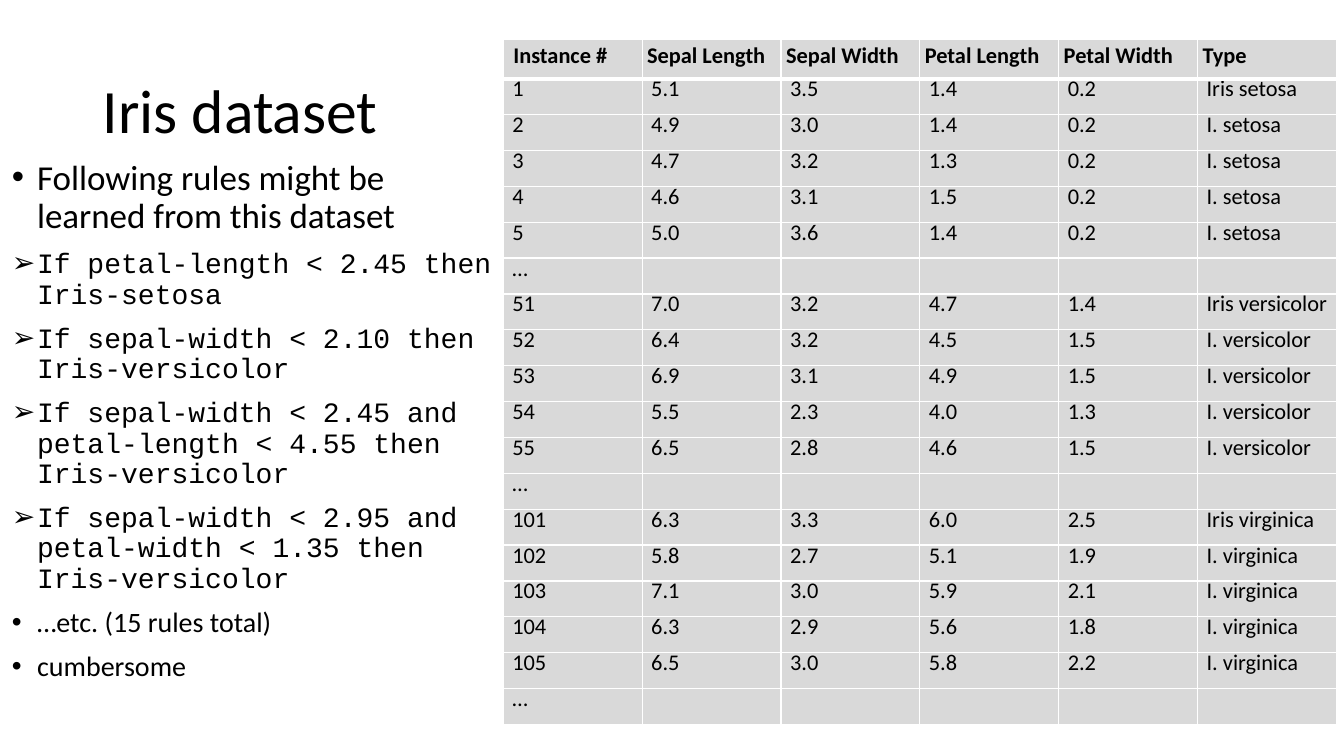
"""Build the Iris dataset slide with its rules and table."""
import dataclasses

import pptx
import pptx.dml.color
import pptx.enum.text
import pptx.oxml
import pptx.oxml.ns
import pptx.util

Pt = pptx.util.Pt


@dataclasses.dataclass
class Theme:
    ink: str = "000000"
    fill: str = "D9D9D9"
    rule: str = "FFFFFF"
    sans: str = "Calibri"
    mono: str = "Courier New"
    title: int = 44
    lead: int = 25
    body: int = 20
    cell: int = 16
    pitch: float = 15.2
    space: float = 0.9


class Deck:
    def __init__(self, theme):
        self.theme = theme
        self.file = pptx.Presentation()
        self.file.slide_width, self.file.slide_height = Pt(960), Pt(540)
        self.slide = self.file.slides.add_slide(self.file.slide_layouts[5])

    def color(self, code):
        return pptx.dml.color.RGBColor.from_string(code)

    def format(self, para, size, font, bold=False):
        for run in para.runs:
            run.font.size = Pt(size)
            run.font.name = font
            run.font.bold = bold
            run.font.color.rgb = self.color(self.theme.ink)

    def title(self, text, box):
        shape = self.slide.shapes.title
        shape.left, shape.top, shape.width, shape.height = map(Pt, box)
        frame = shape.text_frame
        frame.text = text
        frame.vertical_anchor = pptx.enum.text.MSO_ANCHOR.MIDDLE
        para = frame.paragraphs[0]
        para.alignment = pptx.enum.text.PP_ALIGN.LEFT
        para.line_spacing = self.theme.space
        self.format(para, self.theme.title, self.theme.sans)

    def bullet(self, para, mark, indent):
        props = para._p.get_or_add_pPr()
        props.set("marL", str(Pt(indent)))
        props.set("indent", str(-Pt(indent)))
        for tag, key, value in (("buFont", "typeface", "Arial"), ("buChar", "char", mark)):
            item = pptx.oxml.parse_xml(f'<a:{tag} {pptx.oxml.ns.nsdecls("a")}/>')
            item.set(key, value)
            props.append(item)

    def list(self, items, box):
        frame = self.slide.shapes.add_textbox(*map(Pt, box)).text_frame
        frame.word_wrap = True
        frame.text = "\n".join(text for text, *_ in items)
        for para, (_, mark, size, font) in zip(frame.paragraphs, items):
            para.line_spacing = self.theme.space
            para.space_before = Pt(10)
            self.bullet(para, mark, 18)
            self.format(para, size, font)

    def border(self, cell, widths):
        props = cell._tc.get_or_add_tcPr()
        for spot, (side, width) in enumerate(widths.items()):
            props.insert(spot, pptx.oxml.parse_xml(
                f'<a:{side} {pptx.oxml.ns.nsdecls("a")} w="{Pt(width)}"><a:solidFill>'
                f'<a:srgbClr val="{self.theme.rule}"/></a:solidFill></a:{side}>'))

    def cell(self, cell, text, head):
        cell.fill.solid()
        cell.fill.fore_color.rgb = self.color(self.theme.fill)
        cell.margin_left = Pt(3.6 if head else 6.5)
        cell.margin_top = Pt(1.4 if head else 2)
        cell.margin_right = cell.margin_bottom = Pt(1.4 if head else 0.7)
        anchor = pptx.enum.text.MSO_ANCHOR
        cell.vertical_anchor = anchor.MIDDLE if head else anchor.TOP
        cell.text_frame.text = text
        para = cell.text_frame.paragraphs[0]
        para.line_spacing = Pt(self.theme.pitch)
        self.format(para, self.theme.cell, self.theme.sans, head)
        self.border(cell, {"lnL": 1, "lnR": 1, "lnT": 1, "lnB": 3 if head else 1})

    def table(self, rows, left, top, width, first, step):
        count = len(rows[0])
        height = first + step * (len(rows) - 1)
        table = self.slide.shapes.add_table(
            len(rows), count, Pt(left), Pt(top), Pt(width * count), Pt(height)).table
        table.horz_banding = False
        for col in table.columns:
            col.width = Pt(width)
        for y, row in enumerate(rows):
            table.rows[y].height = Pt(step if y else first)
            for x, text in enumerate(row):
                self.cell(table.cell(y, x), text, y == 0)


GROUPS = (
    (1, "setosa", ("5.1 3.5 1.4 0.2", "4.9 3.0 1.4 0.2", "4.7 3.2 1.3 0.2",
                   "4.6 3.1 1.5 0.2", "5.0 3.6 1.4 0.2")),
    (51, "versicolor", ("7.0 3.2 4.7 1.4", "6.4 3.2 4.5 1.5", "6.9 3.1 4.9 1.5",
                        "5.5 2.3 4.0 1.3", "6.5 2.8 4.6 1.5")),
    (101, "virginica", ("6.3 3.3 6.0 2.5", "5.8 2.7 5.1 1.9", "7.1 3.0 5.9 2.1",
                        "6.3 2.9 5.6 1.8", "6.5 3.0 5.8 2.2")),
)
RULES = (
    "If petal-length < 2.45 then Iris-setosa",
    "If sepal-width < 2.10 then Iris-versicolor",
    "If sepal-width < 2.45 and petal-length < 4.55 then Iris-versicolor",
    "If sepal-width < 2.95 and petal-width < 1.35 then Iris-versicolor",
)


def main():
    theme = Theme()
    deck = Deck(theme)
    deck.title("Iris dataset", (66.2, 28.8, 229.7, 104.4))
    rows = [(" Instance #", "Sepal Length", "Sepal Width",
             "Petal Length", "Petal Width", "Type")]
    for start, kind, sizes in GROUPS:
        for step, size in enumerate(sizes):
            genus = "I." if step else "Iris"
            rows.append((str(start + step), *size.split(), f"{genus} {kind}"))
        rows.append(("…", "", "", "", "", ""))
    deck.table(rows, 359.5, 28.2, 99.2, 28, 25.64)
    items = [("Following rules might be learned from this dataset", "•", theme.lead, theme.sans)]
    items += [(rule, "➢", theme.body, theme.mono) for rule in RULES]
    items += [(text, "•", theme.body, theme.sans)
              for text in ("…etc. (15 rules total)", "cumbersome")]
    deck.list(items, (1.4, 110.9, 358.6, 396))
    deck.file.save("out.pptx")


if __name__ == "__main__":
    main()
